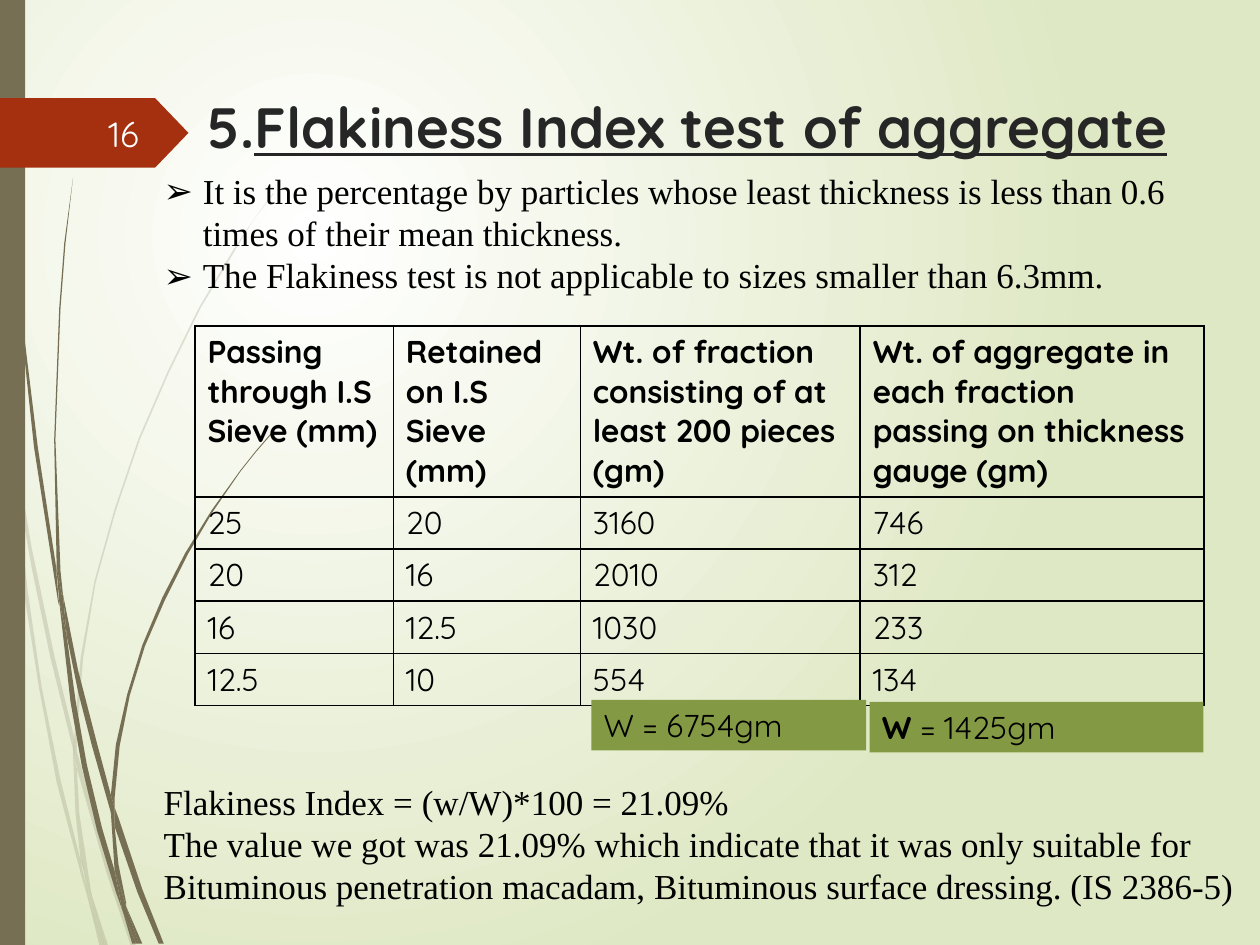
from lxml import etree
from pptx import Presentation
from pptx.dml.color import RGBColor
from pptx.enum.shapes import MSO_SHAPE
from pptx.enum.text import MSO_ANCHOR, PP_ALIGN
from pptx.oxml.ns import qn
from pptx.util import Cm, Pt

RECTANGLE, PENTAGON = MSO_SHAPE.RECTANGLE, MSO_SHAPE.PENTAGON
TOP, MIDDLE = MSO_ANCHOR.TOP, MSO_ANCHOR.MIDDLE
LEFT, RIGHT = PP_ALIGN.LEFT, PP_ALIGN.RIGHT

BLACK = RGBColor(0x00, 0x00, 0x00)
DARK = RGBColor(0x26, 0x26, 0x26)
WHITE = RGBColor(0xFF, 0xFF, 0xFF)
NUMBER_WHITE = RGBColor(0xFE, 0xFF, 0xFF)
PALE_GREEN = RGBColor(0xDF, 0xE8, 0xC4)
GREEN = RGBColor(0x83, 0x99, 0x43)
BROWN = RGBColor(0x76, 0x6F, 0x54)
RED = RGBColor(0xA5, 0x30, 0x10)

TITLE = {"name": "Quicksand", "size": Pt(32.4), "bold": True}
TABLE = {"name": "Quicksand", "size": Pt(18), "bold": False}
HEADER = {**TABLE, "bold": True}
NUMBER = {"name": "Quicksand", "size": Pt(20)}
BODY = {"name": "Times New Roman", "size": Pt(20)}

# Outlines of the grass blades, on a grid 1000 units wide and 750 high
GRID_UNIT = Cm(25.4) / 1000
FAINT_BLADES = [
    [(40, 522), (59, 599), (59, 586), (43, 520), (25, 434), (10, 345), (12, 376), (25, 450)],
    [(64, 607), (61, 596), (61, 610), (85, 694), (104, 751), (108, 751), (88, 692)],
    [(83, 751), (86, 751), (73, 711)],
    [(64, 683), (48, 619), (33, 545), (22, 469), (12, 376), (8, 350), (12, 411), (19, 470),
     (31, 546), (45, 621), (64, 693), (70, 714), (69, 707)],
    [(58, 599), (60, 646), (64, 683), (67, 692), (73, 711), (72, 706), (63, 646), (61, 610)],
    [(61, 584), (66, 522), (76, 462), (92, 405), (111, 349), (134, 296), (159, 245),
     (187, 198), (201, 175), (217, 154), (217, 153), (201, 175), (186, 197), (158, 244),
     (133, 295), (110, 348), (91, 404), (75, 461), (64, 522), (59, 584), (59, 586), (61, 596)],
    [(70, 714), (79, 751), (82, 751)],
    [(61, 608), (61, 596), (59, 586), (58, 599)],
    [(67, 692), (65, 683), (69, 707), (70, 714), (82, 751), (83, 751), (73, 711)],
]
DARK_BLADES = [
    [(5, 110), (14, 233), (27, 355), (46, 477), (47, 481), (45, 457), (45, 453), (30, 355),
     (15, 232), (6, 109), (4, 48), (3, 0), (2, 0), (3, 48)],
    [(73, 592), (88, 645), (88, 631), (77, 590), (62, 532), (50, 472), (53, 505), (62, 549)],
    [(94, 649), (91, 641), (91, 656), (109, 708), (126, 749), (130, 749), (113, 706)],
    [(91, 691), (81, 657), (69, 607), (60, 556), (53, 505), (47, 477), (56, 557), (65, 608),
     (77, 659), (92, 708), (97, 722), (96, 717)],
    [(50, 472), (48, 453), (44, 349), (48, 245), (52, 193), (58, 141), (51, 193), (47, 245),
     (43, 349), (45, 449), (49, 472)],
    [(110, 749), (113, 749), (100, 719)],
    [(47, 477), (53, 505), (50, 472), (49, 472), (45, 449), (45, 453)],
    [(91, 633), (95, 592), (103, 552), (115, 513), (131, 476), (149, 440), (169, 406),
     (191, 374), (203, 359), (216, 344), (215, 344), (203, 358), (191, 373), (168, 405),
     (147, 439), (129, 474), (113, 512), (101, 551), (92, 591), (88, 631), (91, 641)],
    [(97, 722), (105, 749), (108, 749)],
    [(88, 645), (91, 691), (96, 706), (100, 719), (100, 716), (94, 686), (91, 656), (90, 651)],
    [(88, 645), (91, 656), (91, 641), (88, 631)],
    [(96, 706), (91, 691), (96, 717), (97, 722), (108, 749), (110, 749), (100, 719)],
]

TABLE_ROWS = [
    ("Passing through I.S Sieve (mm)", "Retained on I.S Sieve (mm)",
     "Wt. of fraction consisting of at least 200 pieces (gm)",
     "Wt. of aggregate in each fraction passing on thickness gauge (gm)"),
    ("25", "20", "3160", "746"),
    ("20", "16", "2010", "312"),
    ("16", "12.5", "1030", "233"),
    ("12.5", "10", "554", "134"),
]
COLUMN_WIDTHS = (4, 3.77, 5.64, 6.93)
HEADER_HEIGHT, ROW_HEIGHT = 3.45, 1.05


def add_run(paragraph, text, style, color=BLACK, **extra):
    run = paragraph.add_run()
    run.text = text
    for name, value in {**style, **extra}.items():
        setattr(run.font, name, value)
    run.font.color.rgb = color


def paint(shape, color):
    shape.shadow.inherit = False
    shape.fill.solid()
    shape.fill.fore_color.rgb = color
    shape.line.fill.background()
    return shape


def add_filled_shape(slide, kind, box, color):
    return paint(slide.shapes.add_shape(kind, *map(Cm, box)), color)


def add_text(slide, box, paragraphs, style, bullet=None, color=BLACK, anchor=TOP, align=LEFT):
    frame = slide.shapes.add_textbox(*map(Cm, box)).text_frame
    frame.word_wrap = True
    frame.vertical_anchor = anchor
    for index, text in enumerate(paragraphs):
        paragraph = frame.add_paragraph() if index else frame.paragraphs[0]
        paragraph.alignment = align
        if bullet:
            properties = paragraph._p.get_or_add_pPr()
            properties.set("marL", str(Cm(0.79)))
            properties.set("indent", str(-Cm(0.79)))
            etree.SubElement(properties, qn("a:buFont")).set("typeface", "Quicksand")
            etree.SubElement(properties, qn("a:buChar")).set("char", bullet)
        add_run(paragraph, text, style, color)


def set_background(slide):
    fill = slide.background.fill
    fill.gradient()
    for stop, position, color in zip(fill.gradient_stops, (0, 1), (WHITE, PALE_GREEN)):
        stop.position = position
        stop.color.rgb = color
    gradient = slide.element.find(".//" + qn("a:gradFill"))
    radial = etree.Element(qn("a:path"), {"path": "circle"})
    sides = {"l": "50000", "t": "50000", "r": "100000", "b": "100000"}
    etree.SubElement(radial, qn("a:fillToRect"), sides)
    gradient.replace(gradient.find(qn("a:lin")), radial)


def add_decoration(slide, left, top, height):
    for blades, opacity in ((FAINT_BLADES, 20), (DARK_BLADES, 100)):
        for outline in blades:
            builder = slide.shapes.build_freeform(*outline[0], scale=GRID_UNIT)
            builder.add_line_segments(outline[1:], close=True)
            blade = paint(builder.convert_to_shape(Cm(left), Cm(top)), BROWN)
            if opacity < 100:
                color = blade._element.spPr.find(qn("a:solidFill")).find(qn("a:srgbClr"))
                etree.SubElement(color, qn("a:alpha")).set("val", str(opacity * 1000))
    add_filled_shape(slide, RECTANGLE, (left, top, 0.51, height), BROWN)


def add_number_tag(slide, left, top, width, height):
    tag = add_filled_shape(slide, PENTAGON, (left, top, width, height), RED)
    tag.adjustments[0] = 0.48
    add_text(slide, (left + 1.42, top + 0.2, 1.63, 1.02), ["16"], NUMBER,
             color=NUMBER_WHITE, anchor=MIDDLE, align=RIGHT)


def fill_title(slide, left, top, width, height):
    title = slide.shapes.title
    title.left, title.top, title.width, title.height = map(Cm, (left, top, width, height))
    title.text_frame.vertical_anchor = TOP
    paragraph = title.text_frame.paragraphs[0]
    paragraph.alignment = LEFT
    add_run(paragraph, "5.", TITLE, DARK)
    add_run(paragraph, "Flakiness Index test of aggregate", TITLE, DARK, underline=True)


def format_cell(cell, text, style):
    properties = cell._tc.get_or_add_tcPr()
    for side in ("a:lnL", "a:lnR", "a:lnT", "a:lnB"):
        border = etree.SubElement(properties, qn(side), {"w": str(Pt(1))})
        solid = etree.SubElement(border, qn("a:solidFill"))
        etree.SubElement(solid, qn("a:srgbClr")).set("val", str(BLACK))
    cell.fill.background()
    add_run(cell.text_frame.paragraphs[0], text, style)


def add_sieve_table(slide, left, top):
    heights = [HEADER_HEIGHT] + [ROW_HEIGHT] * (len(TABLE_ROWS) - 1)
    box = (left, top, sum(COLUMN_WIDTHS), sum(heights))
    table = slide.shapes.add_table(len(heights), len(COLUMN_WIDTHS), *map(Cm, box)).table
    table.first_row = table.horz_banding = False
    for column, width in zip(table.columns, COLUMN_WIDTHS):
        column.width = Cm(width)
    for index, (row, texts) in enumerate(zip(table.rows, TABLE_ROWS)):
        row.height = Cm(heights[index])
        for cell, text in zip(row.cells, texts):
            format_cell(cell, text, TABLE if index else HEADER)


def add_total(slide, box, runs):
    frame = add_filled_shape(slide, RECTANGLE, box, GREEN).text_frame
    frame.vertical_anchor = TOP
    frame.paragraphs[0].alignment = LEFT
    for text, style in runs:
        add_run(frame.paragraphs[0], text, style)


def main():
    presentation = Presentation()
    presentation.slide_width, presentation.slide_height = Cm(25.4), Cm(19.05)
    slide = presentation.slides.add_slide(presentation.slide_layouts[5])
    # Backdrop and heading
    set_background(slide)
    add_decoration(slide, 0, 0, 19.05)
    add_number_tag(slide, 0, 1.98, 3.8, 1.4)
    fill_title(slide, 3.93, 1.73, 20.93, 1.88)
    # Measurements and their totals
    add_sieve_table(slide, 3.93, 6.57)
    add_total(slide, (11.92, 14.11, 5.54, 1.02), [("W = 6754gm", TABLE)])
    add_total(slide, (17.53, 14.15, 6.73, 1.02), [("W ", HEADER), ("= 1425gm", TABLE)])
    # Definition and conclusion
    add_text(slide, (3.05, 15.6, 22.15, 2.82), [
        "Flakiness Index = (w/W)*100 = 21.09%",
        "The value we got was 21.09% which indicate that it was only suitable for "
        "Bituminous penetration macadam, Bituminous surface dressing. (IS 2386-5)"], BODY)
    add_text(slide, (3.05, 3.3, 20.93, 2.82), [
        "It is the percentage by particles whose least thickness is less than 0.6 "
        "times of their mean thickness.",
        "The Flakiness test is not applicable to sizes smaller than 6.3mm."], BODY, bullet="➢")
    presentation.save("out.pptx")


if __name__ == "__main__":
    main()
